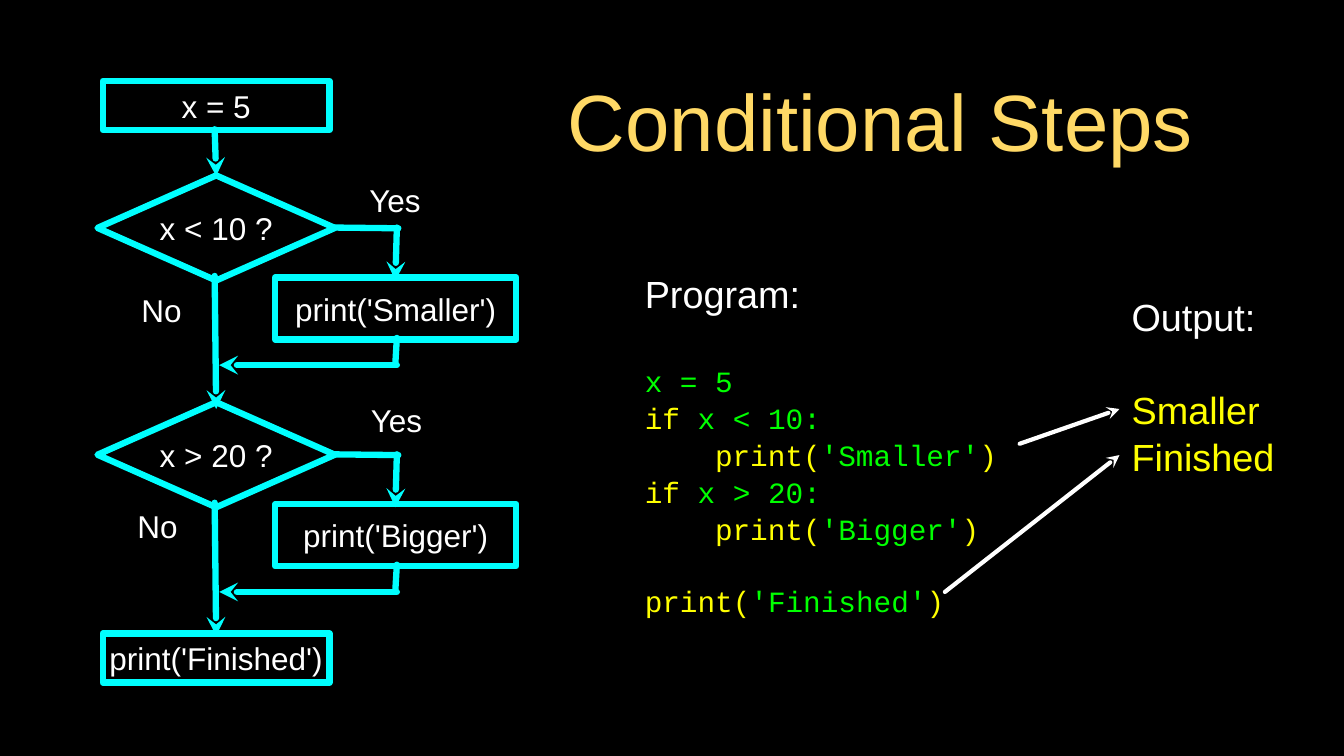
from lxml import etree
from pptx import Presentation
from pptx.dml.color import RGBColor
from pptx.enum import shapes, text
from pptx.oxml.ns import qn
from pptx.util import Inches, Pt

BLACK = RGBColor(0x00, 0x00, 0x00)
WHITE = RGBColor(0xFF, 0xFF, 0xFF)
CYAN = RGBColor(0x00, 0xFF, 0xFF)
GOLD = RGBColor(0xFF, 0xD9, 0x66)
YELLOW = RGBColor(0xFF, 0xFF, 0x00)
GREEN = RGBColor(0x00, 0xFF, 0x00)

SANS, MONO = "Arial", "Courier New"
STEP = 3  # height of one decision stage
RECT, DIAMOND = shapes.MSO_SHAPE.RECTANGLE, shapes.MSO_SHAPE.DIAMOND


def setup_frame(sp):
    tf = sp.text_frame
    tf.word_wrap = True
    tf.vertical_anchor = text.MSO_ANCHOR.MIDDLE
    tf.margin_left = tf.margin_right = tf.margin_top = tf.margin_bottom = 0
    return tf


def add_run(p, words, size, color, font=SANS):
    r = p.add_run()
    r.text = words
    r.font.size = Pt(size)
    r.font.name = font
    r.font.color.rgb = color


def add_centred(tf, words, size=30, color=WHITE):
    p = tf.paragraphs[0]
    p.alignment = text.PP_ALIGN.CENTER
    add_run(p, words, size, color)


def add_label(s, box, words, size=30, color=WHITE):
    sp = s.shapes.add_textbox(*map(Inches, box))
    add_centred(setup_frame(sp), words, size, color)


def add_node(s, kind, box, words):
    sp = s.shapes.add_shape(kind, *map(Inches, box))
    sp.shadow.inherit = False
    sp.fill.background()
    style_line(sp, CYAN, 6)
    add_centred(setup_frame(sp), words)


def style_line(sp, color, width, arrow=False):
    sp.line.color.rgb = color
    sp.line.width = Pt(width)
    ln = sp.line._get_or_add_ln()
    ln.set("cap", "rnd")
    etree.SubElement(ln, qn("a:round"))
    if arrow:
        etree.SubElement(ln, qn("a:tailEnd"), type="stealth")


def add_line(s, start, end, arrow=False, color=CYAN, width=6):
    ends = map(Inches, (*start, *end))
    cx = s.shapes.add_connector(shapes.MSO_CONNECTOR.STRAIGHT, *ends)
    style_line(cx, color, width, arrow)
    etree.SubElement(cx._element.spPr, qn("a:effectLst"))


def add_listing(s, box, lines):
    """Each line: (runs, size, font, space before in points, indent in inches)."""
    tf = setup_frame(s.shapes.add_textbox(*map(Inches, box)))
    for i, (runs, size, font, gap, indent) in enumerate(lines):
        p = tf.add_paragraph() if i else tf.paragraphs[0]
        p.line_spacing = 1.05
        p.space_before = Pt(gap)
        if indent:
            pPr = p._p.get_or_add_pPr()
            pPr.set("marL", str(Inches(indent)))
            pPr.set("indent", "0")
        for words, color in runs:
            add_run(p, words, size, color, font)


def code(*runs, gap=0, indent=0):
    return runs, 28, MONO, gap, indent


def prose(words, color, gap=0):
    return [(words, color)], 36, SANS, gap, 0


def print_call(value, **layout):
    return code(("print(", YELLOW), (value, GREEN), (")", YELLOW), **layout)


def add_decision(s, y, question, action):
    # Question, with the No path straight down
    add_node(s, DIAMOND, (1.29, y, 3.14, 1.39), question)
    add_line(s, (2.84, y + 1.33), (2.86, y + 3.09), arrow=True)
    # Yes path out to the action and back
    add_line(s, (4.42, y + 0.69), (5.27, y + 0.7))
    add_line(s, (5.25, y + 0.69), (5.23, y + 1.39), arrow=True)
    add_node(s, RECT, (3.64, y + 1.35, 3.19, 0.82), action)
    add_line(s, (5.25, y + 2.15), (5.23, y + 2.49))
    add_line(s, (5.25, y + 2.51), (2.9, y + 2.51), arrow=True)


def main():
    prs = Presentation()
    prs.slide_width, prs.slide_height = Inches(17.78), Inches(10)
    s = prs.slides.add_slide(prs.slide_layouts[6])
    s.background.fill.solid()
    s.background.fill.fore_color.rgb = BLACK

    # Title
    add_label(s, (6.4, 0.84, 10.49, 1.49), "Conditional Steps", 76, GOLD)

    # Flowchart
    add_node(s, RECT, (1.36, 1.07, 3, 0.65), "x = 5")
    add_line(s, (2.84, 1.71), (2.86, 2.33), arrow=True)
    decisions = [("x < 10 ?", "print('Smaller')"), ("x > 20 ?", "print('Bigger')")]
    for i, (question, action) in enumerate(decisions):
        add_decision(s, 2.32 + i * STEP, question, action)
    add_node(s, RECT, (1.36, 8.38, 3, 0.65), "print('Finished')")

    # Branch labels
    add_label(s, (4.83, 2.31, 0.79, 0.68), "Yes")
    add_label(s, (1.74, 3.71, 0.79, 0.77), "No")
    add_label(s, (4.85, 5.21, 0.79, 0.68), "Yes")
    add_label(s, (1.69, 6.67, 0.79, 0.58), "No")

    # Program and its output
    add_listing(s, (8.53, 3.14, 4.96, 5.45), [
        prose("Program:", WHITE),
        code(("x = 5", GREEN), gap=43),
        code(("if ", YELLOW), ("x < 10:", GREEN)),
        print_call("'Smaller'", indent=0.93),
        code(("if ", YELLOW), ("x > 20:", GREEN)),
        print_call("'Bigger'", indent=0.93),
        print_call("'Finished'", gap=33),
    ])
    add_listing(s, (14.97, 3.9, 1.92, 2.39), [
        prose("Output:", WHITE),
        prose("Smaller", YELLOW, gap=43),
        prose("Finished", YELLOW),
    ])

    # Arrows from print calls to output
    add_line(s, (13.49, 5.87), (14.81, 5.41), True, WHITE, 4)
    add_line(s, (12.5, 7.83), (14.81, 6.02), True, WHITE, 4)

    prs.save("out.pptx")


if __name__ == "__main__":
    main()
